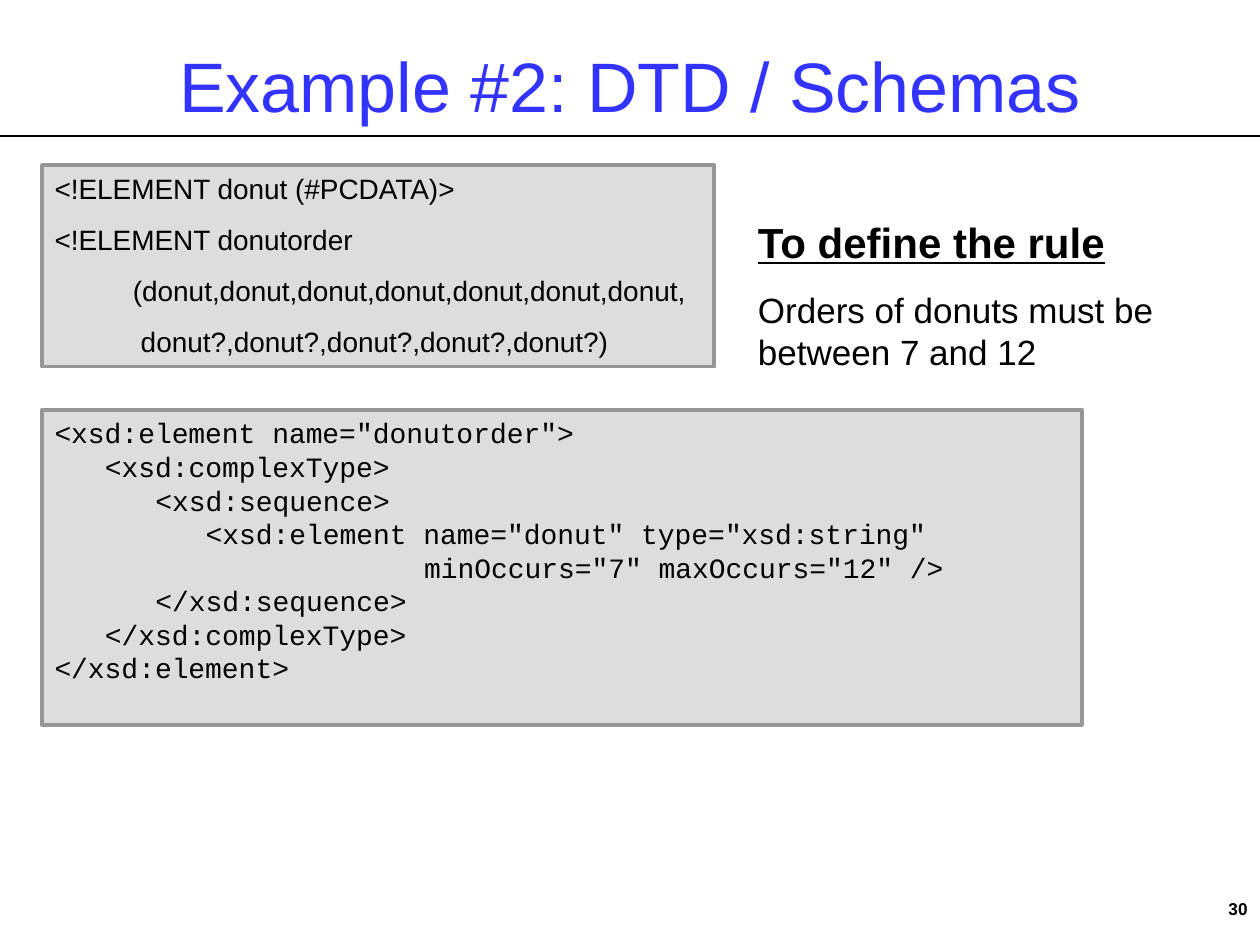
from pptx import Presentation
from pptx.dml.color import RGBColor
from pptx.enum.shapes import MSO_CONNECTOR, MSO_SHAPE
from pptx.enum.text import MSO_ANCHOR, PP_ALIGN
from pptx.oxml.ns import qn
from pptx.util import Cm, Pt
from lxml import etree

BLACK = RGBColor(0x00, 0x00, 0x00)
BLUE = RGBColor(0x33, 0x33, 0xFF)
PANEL_FILL = RGBColor(0xDD, 0xDD, 0xDD)
PANEL_EDGE = RGBColor(0x96, 0x96, 0x96)
RECTANGLE = MSO_SHAPE.RECTANGLE
STRAIGHT = MSO_CONNECTOR.STRAIGHT
TOP, MIDDLE = MSO_ANCHOR.TOP, MSO_ANCHOR.MIDDLE
LEFT, CENTER, RIGHT = PP_ALIGN.LEFT, PP_ALIGN.CENTER, PP_ALIGN.RIGHT

SANS, MONO = "Arial", "Courier New"
CODE_SIZE = 16
LEADING = 1.2
# Width of a space, as a share of the font size
SPACE_WIDTH = {SANS: 0.28, MONO: 0.6}

# Each line of code with the number of spaces it is indented by
DTD_LINES = [
    (0, "<!ELEMENT donut (#PCDATA)>"),
    (0, "<!ELEMENT donutorder"),
    (10, "(donut,donut,donut,donut,donut,donut,donut,"),
    (11, "donut?,donut?,donut?,donut?,donut?)"),
]
SCHEMA_LINES = [
    (0, '<xsd:element name="donutorder">'),
    (3, "<xsd:complexType>"),
    (6, "<xsd:sequence>"),
    (9, '<xsd:element name="donut" type="xsd:string"'),
    (22, 'minOccurs="7" maxOccurs="12" />'),
    (6, "</xsd:sequence>"),
    (3, "</xsd:complexType>"),
    (0, "</xsd:element>"),
]


def start_text(shape, anchor=TOP):
    frame = shape.text_frame
    frame.word_wrap = True
    frame.vertical_anchor = anchor
    return frame


def add_line(frame, text, size, font=SANS, color=BLACK, align=LEFT,
             before=0, indent=0, bold=False, underline=False):
    """Write one paragraph, using the frame's first one while it is empty."""
    para = frame.paragraphs[0]
    if para.runs:
        para = frame.add_paragraph()
    para.alignment = align
    para.space_before = Pt(before)
    para.line_spacing = Pt(size * LEADING)
    if indent:
        margin = Pt(indent * SPACE_WIDTH[font] * size)
        para._p.get_or_add_pPr().set("marL", str(margin))
    span = para.add_run()
    span.text = text
    span.font.name = font
    span.font.size = Pt(size)
    span.font.color.rgb = color
    span.font.bold = bold
    span.font.underline = underline


def add_title(page, left, top, width, height):
    box = page.shapes.add_textbox(left, top, width, height)
    add_line(start_text(box, MIDDLE), "Example #2: DTD / Schemas", 40,
             color=BLUE, align=CENTER)


def add_title_rule(page, left, top, width):
    rule = page.shapes.add_connector(STRAIGHT, left, top, left + width, top)
    rule.line.color.rgb = BLACK
    rule.line.width = Pt(0.75)
    etree.SubElement(rule._element.spPr, qn("a:effectLst"))


def add_code_panel(page, left, top, width, height, lines, font, before=0):
    panel = page.shapes.add_shape(RECTANGLE, left, top, width, height)
    panel.shadow.inherit = False
    panel.fill.solid()
    panel.fill.fore_color.rgb = PANEL_FILL
    panel.line.color.rgb = PANEL_EDGE
    panel.line.width = Pt(2.25)
    frame = start_text(panel)
    for indent, text in lines:
        add_line(frame, text, CODE_SIZE, font, before=before, indent=indent)


def add_rule_note(page, left, top, width, height):
    box = page.shapes.add_textbox(left, top, width, height)
    frame = start_text(box)
    add_line(frame, "To define the rule", 24, before=15,
             bold=True, underline=True)
    add_line(frame, "Orders of donuts must be between 7 and 12", 20,
             before=12.5)


def add_page_number(page, left, top, width, height):
    box = page.shapes.add_textbox(left, top, width, height)
    add_line(start_text(box), "30", 9.8, align=RIGHT, bold=True)


def main():
    deck = Presentation()
    deck.slide_width, deck.slide_height = Cm(25.4), Cm(19.05)
    page = deck.slides.add_slide(deck.slide_layouts[6])

    add_title_rule(page, Cm(0), Cm(2.74), deck.slide_width)
    add_page_number(page, Cm(19.48), Cm(17.98), Cm(5.92), Cm(0.69))
    panel_left = Cm(0.85)
    add_code_panel(page, panel_left, Cm(3.33), Cm(13.55), Cm(4.06),
                   DTD_LINES, SANS, before=10)
    add_code_panel(page, panel_left, Cm(8.26), Cm(20.96), Cm(6.35),
                   SCHEMA_LINES, MONO)
    add_rule_note(page, Cm(15.03), Cm(4.24), Cm(9.1), Cm(3.4))
    add_title(page, Cm(1.27), Cm(0.43), Cm(22.86), Cm(2.54))

    deck.save("out.pptx")


if __name__ == "__main__":
    main()
